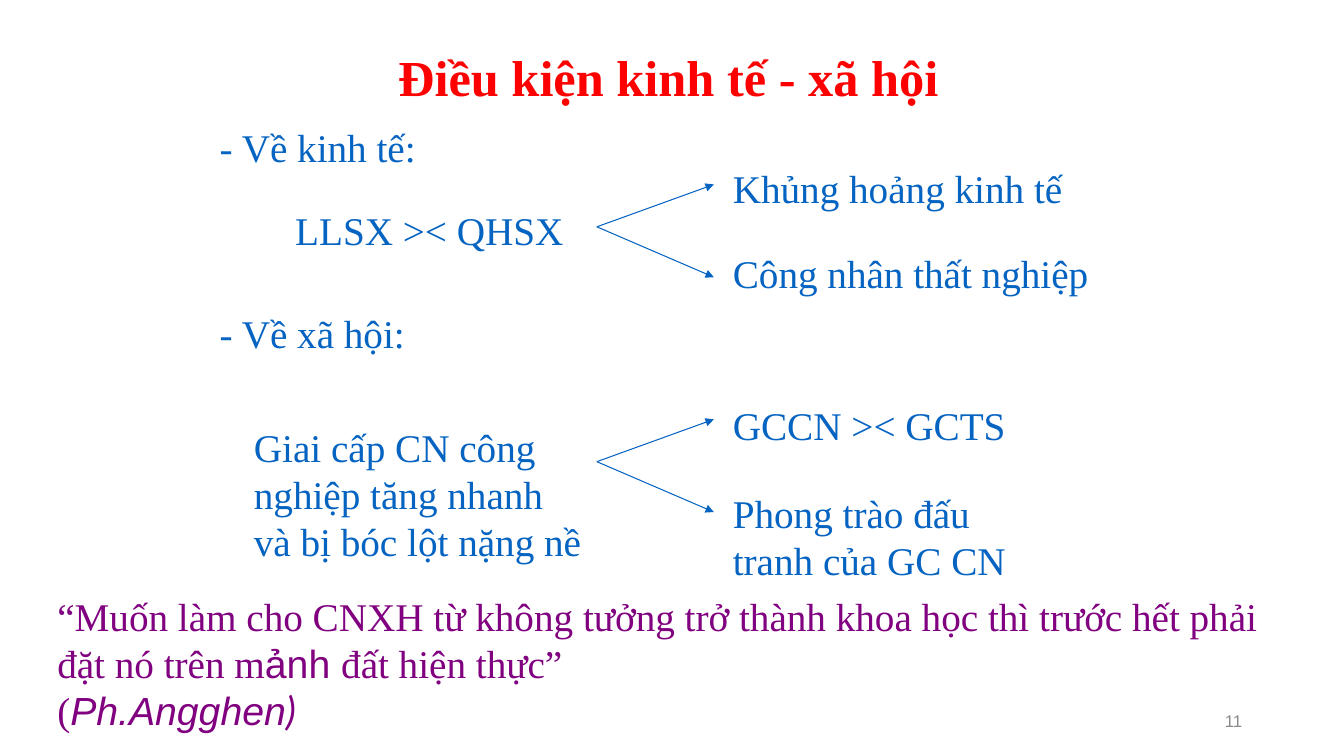
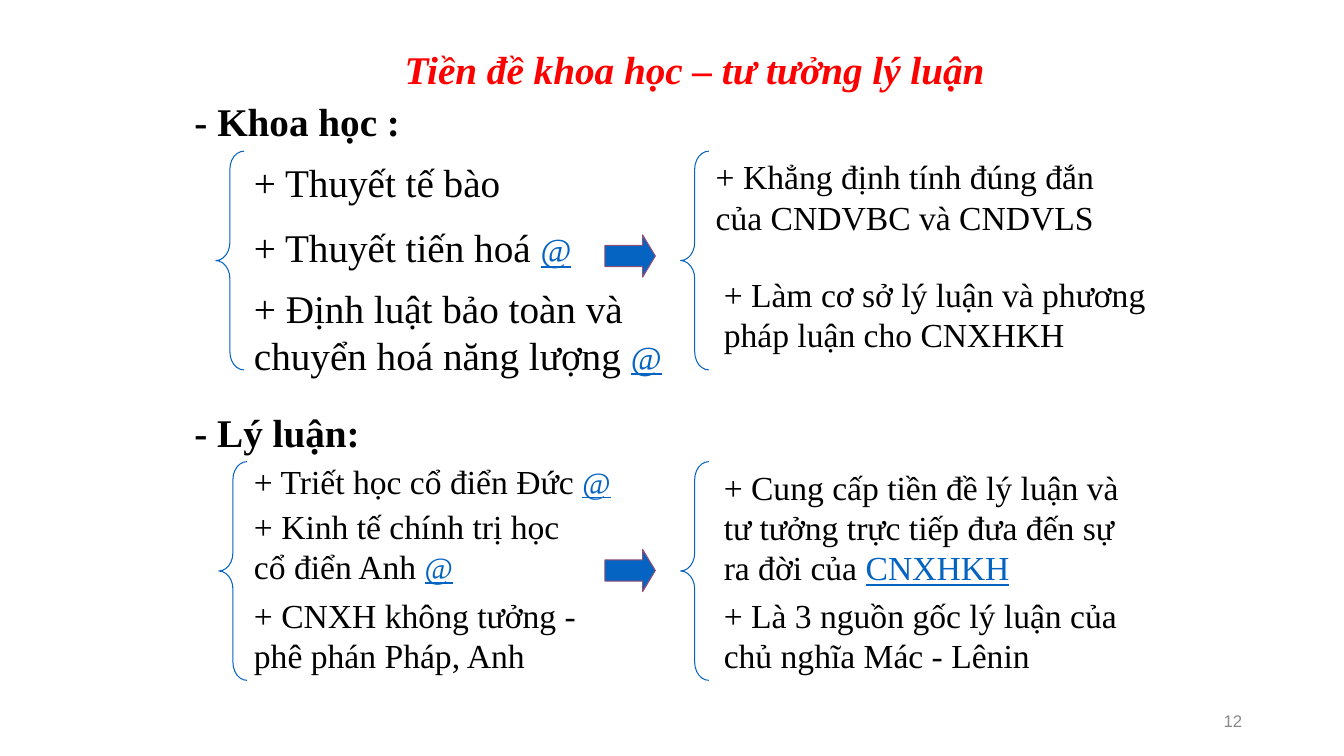
from lxml import etree
from pptx import Presentation
from pptx.dml.color import RGBColor
from pptx.enum.shapes import MSO_CONNECTOR, MSO_SHAPE
from pptx.enum.text import MSO_ANCHOR, MSO_AUTO_SIZE, PP_ALIGN
from pptx.oxml.ns import qn
from pptx.util import Inches, Pt

RED = RGBColor(0xFF, 0x00, 0x00)
BLUE = RGBColor(0x05, 0x63, 0xC1)
BLACK = RGBColor(0x00, 0x00, 0x00)
PURPLE = RGBColor(0x80, 0x00, 0x80)
PLUM = RGBColor(0x95, 0x4F, 0x72)
GRAY = RGBColor(0x89, 0x89, 0x89)
SERIF, SANS, LATO = "Times New Roman", "Arial", "Lato"
LEFT, CENTER, RIGHT = PP_ALIGN.LEFT, PP_ALIGN.CENTER, PP_ALIGN.RIGHT
TOP, MIDDLE = MSO_ANCHOR.TOP, MSO_ANCHOR.MIDDLE
NO_FIT = MSO_AUTO_SIZE.NONE
STRAIGHT = MSO_CONNECTOR.STRAIGHT
BRACE, ARROW = MSO_SHAPE.LEFT_BRACE, MSO_SHAPE.RIGHT_ARROW


class Deck:
    """Holds the shared style and the slide being drawn."""

    def __init__(self):
        self.prs = Presentation()
        self.prs.slide_width = Inches(13.33)
        self.prs.slide_height = Inches(7.5)
        self.slide = None

    def style(self, run, size, color, font=SERIF, bold=False, italic=False, under=False):
        face = run.font
        face.name, face.size, face.color.rgb = font, Pt(size), color
        face.bold, face.italic, face.underline = bold, italic, under

    def fill(self, box, text, size, color, align=LEFT, anchor=TOP, **look):
        frame = box.text_frame
        frame.word_wrap, frame.auto_size = True, NO_FIT
        frame.vertical_anchor = anchor
        frame.text = text
        for par in frame.paragraphs:
            par.alignment = align
            for run in par.runs:
                self.style(run, size, color, **look)
        return frame

    def page(self, number, title, left, top, width, size, italic=False):
        self.slide = self.prs.slides.add_slide(self.prs.slide_layouts[5])
        head = self.slide.shapes.title
        head.left, head.top = Inches(left), Inches(top)
        head.width, head.height = Inches(width), Inches(0.1 + size / 60)
        self.fill(head, title, size, RED, CENTER, bold=True, italic=italic)
        box = self.slide.shapes.add_textbox(Inches(9.42), Inches(6.95), Inches(3), Inches(0.4))
        self.fill(box, str(number), 12, GRAY, RIGHT, MIDDLE, font=SANS)

    def text(self, left, top, width, text, lines=1, size=28, color=BLACK, bold=False):
        box = self.slide.shapes.add_textbox(
            Inches(left), Inches(top), Inches(width), Inches(0.1 + lines * size / 60))
        return self.fill(box, text, size, color, bold=bold)

    def add(self, par, text, size, color, **look):
        run = par.add_run()
        run.text = text
        self.style(run, size, color, **look)

    def link(self, frame, text, size):
        self.add(frame.paragraphs[0], text, size, BLUE, under=True)

    def fork(self, top):
        for end in (top - 0.42, top + 0.5):
            line = self.slide.shapes.add_connector(
                STRAIGHT, Inches(5.92), Inches(top), Inches(7.08), Inches(end))
            line.line.color.rgb, line.line.width = BLUE, Pt(0.75)
            etree.SubElement(line.line._get_or_add_ln(), qn("a:tailEnd"), type="triangle")
            etree.SubElement(line._element.spPr, qn("a:effectLst"))

    def shape(self, kind, left, top, width, height, color, ratios):
        item = self.slide.shapes.add_shape(
            kind, Inches(left), Inches(top), Inches(width), Inches(height))
        item.shadow.inherit = False
        item.line.color.rgb, item.line.width = color, Pt(0.75)
        for index, ratio in enumerate(ratios):
            item.adjustments[index] = ratio
        return item

    def brace(self, left, top):
        self.shape(BRACE, left, top, 0.28, 2.17, BLUE, (0.64, 0.5)).fill.background()

    def arrow(self, top):
        item = self.shape(ARROW, 6, top, 0.5, 0.42, PLUM, (0.5, 0.3))
        item.fill.solid()
        item.fill.fore_color.rgb = BLUE


def causes(deck):
    deck.page(11, "Điều kiện kinh tế - xã hội", 3.38, 0.41, 6.5, 36)
    for left, top, width, text, lines in (
        (2.08, 1.17, 2.92, "- Về kinh tế:", 1),
        (2.83, 2, 3, "LLSX >< QHSX", 1),
        (7.17, 1.58, 3.5, "Khủng hoảng kinh tế", 1),
        (7.17, 2.42, 3.83, "Công nhân thất nghiệp", 1),
        (2.08, 3.02, 2.25, "- Về xã hội:", 1),
        (2.42, 4.15, 3.5, "Giai cấp CN công nghiệp tăng nhanh và bị bóc lột nặng nề", 3),
        (7.17, 3.93, 3.42, "GCCN >< GCTS", 1),
        (7.17, 4.8, 3.17, "Phong trào đấu tranh của GC CN", 2),
    ):
        deck.text(left, top, width, text, lines, color=BLUE)
    for top in (2.25, 4.58):
        deck.fork(top)
    quote = deck.text(
        0.47, 5.83, 12.4,
        "“Muốn làm cho CNXH từ không tưởng trở thành khoa học thì trước hết phải đặt nó trên m",
        3, color=PURPLE)
    first, last = quote.paragraphs[0], quote.add_paragraph()
    for par, text, font, italic in (
        (first, "ảnh ", SANS, False),
        (first, "đất hiện thực”", SERIF, False),
        (last, "(", SERIF, False),
        (last, "Ph.Angghen", SANS, True),
        (last, ")", LATO, True),
    ):
        deck.add(par, text, 28, PURPLE, font=font, italic=italic)


def roots(deck):
    deck.page(12, "Tiền đề khoa học – tư tưởng lý luận", 3.18, 0.4, 7.42, 28, italic=True)
    deck.text(1.83, 0.92, 4.08, "- Khoa học :", bold=True)
    deck.text(1.83, 4, 3.33, "- Lý luận:", bold=True)
    for left, top in ((2.14, 1.5), (6.75, 1.5), (2.17, 4.58), (6.75, 4.58)):
        deck.brace(left, top)
    for top in (2.33, 5.45):
        deck.arrow(top)
    for left, top, width, text, lines, size, link, small in (
        (2.42, 1.52, 3, "+ Thuyết tế bào", 1, 28, "", 0),
        (2.42, 2.17, 3.58, "+ Thuyết tiến hoá ", 1, 28, "@", 24),
        (2.42, 2.77, 4.42, "+ Định luật bảo toàn và chuyển hoá năng lượng ", 2, 28, "@", 24),
        (7, 1.5, 4.25, "+ Khẳng định tính đúng đắn của CNDVBC và CNDVLS", 2, 24, "", 0),
        (7.08, 2.67, 4.58, "+ Làm cơ sở lý luận và phương pháp luận cho CNXHKH", 2, 24, "", 0),
        (2.42, 4.52, 4, "+ Triết học cổ điển Đức ", 1, 24, "@", 22),
        (2.42, 4.97, 3.42, "+ Kinh tế chính trị học cổ điển Anh ", 2, 24, "@", 22),
        (2.42, 5.85, 3.42, "+ CNXH không tưởng - phê phán Pháp, Anh", 2, 24, "", 0),
        (7.08, 4.58, 4.25, "+ Cung cấp tiền đề lý luận và tư tưởng trực tiếp đưa đến sự ra đời của ",
         3, 24, "CNXHKH", 24),
        (7.08, 5.85, 4.58, "+ Là 3 nguồn gốc lý luận của chủ nghĩa Mác - Lênin", 2, 24, "", 0),
    ):
        frame = deck.text(left, top, width, text, lines, size)
        if link:
            deck.link(frame, link, small)


def main():
    deck = Deck()
    causes(deck)
    roots(deck)
    deck.prs.save("out.pptx")


if __name__ == "__main__":
    main()
